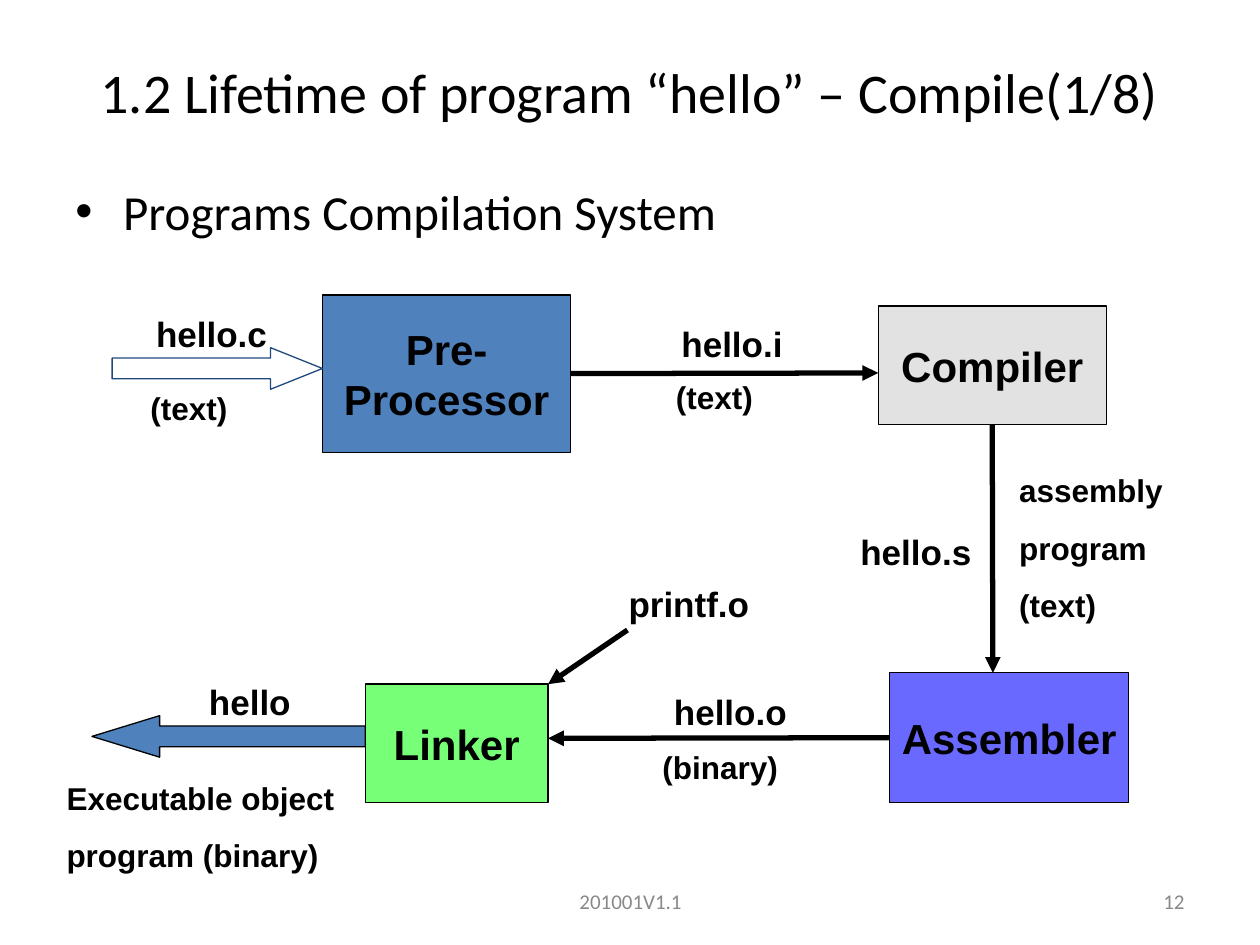
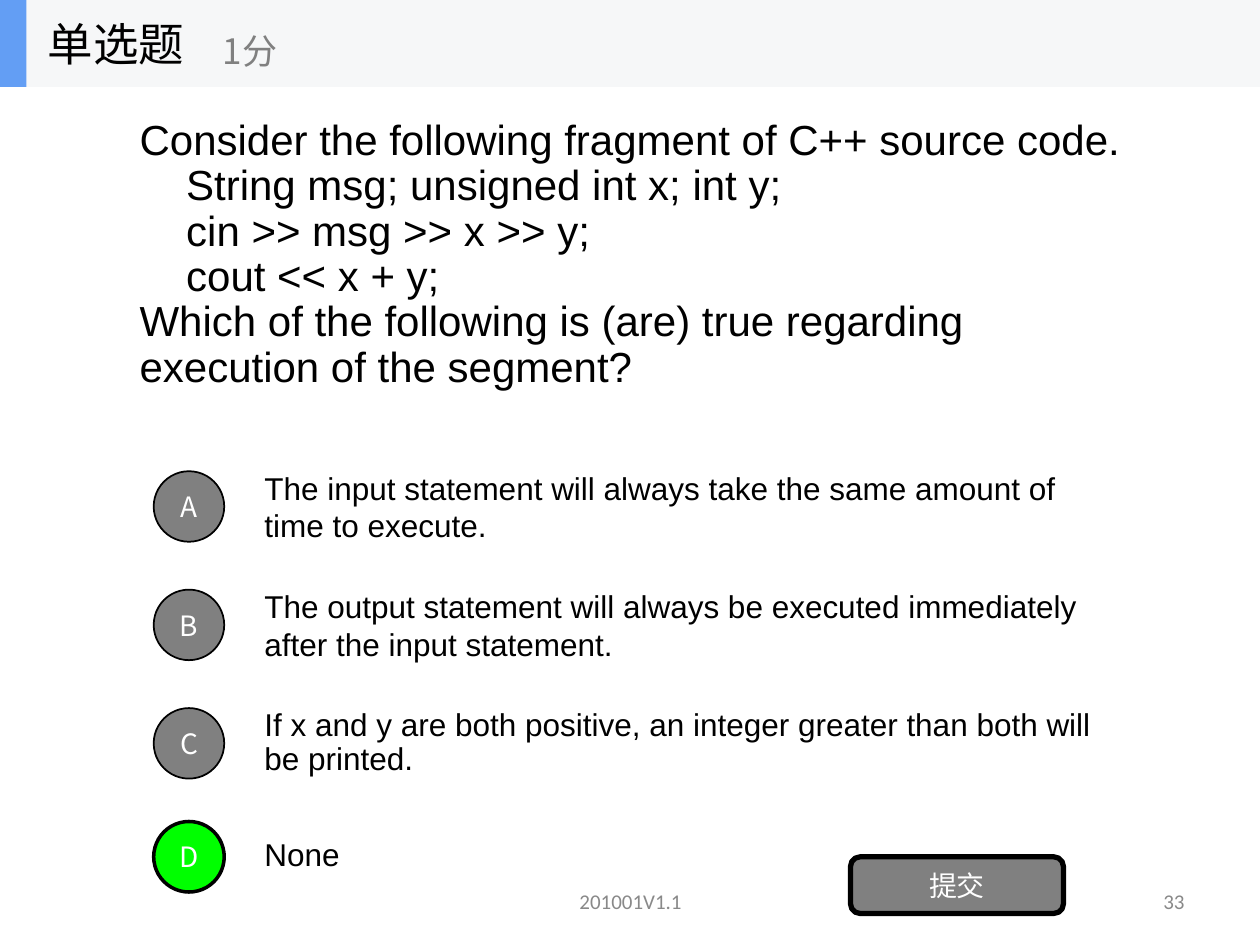
from lxml import etree
from pptx import Presentation
from pptx.dml.color import RGBColor
from pptx.enum import shapes, text
from pptx.oxml.ns import qn
from pptx.util import Inches, Pt

BLACK = RGBColor(0x00, 0x00, 0x00)
WHITE = RGBColor(0xFF, 0xFF, 0xFF)
GRAY = RGBColor(0x80, 0x80, 0x80)
FOOTER_GRAY = RGBColor(0x89, 0x89, 0x89)
LIGHT_GRAY = RGBColor(0xE2, 0xE2, 0xE2)
BAND_GRAY = RGBColor(0xF6, 0xF7, 0xF8)
BAND_BLUE = RGBColor(0x63, 0x9E, 0xF4)
BLUE = RGBColor(0x4F, 0x81, 0xBD)
NAVY = RGBColor(0x1F, 0x49, 0x7D)
VIOLET = RGBColor(0x69, 0x69, 0xFF)
GREEN = RGBColor(0x77, 0xFF, 0x77)
ANSWER_GREEN = RGBColor(0x00, 0xFF, 0x00)

SANS, HEAD, CJK = "Arial", "Calibri", "Noto Sans CJK SC"
LEFT, CENTER, RIGHT = (text.PP_ALIGN.LEFT, text.PP_ALIGN.CENTER,
                       text.PP_ALIGN.RIGHT)
TOP, MIDDLE = text.MSO_ANCHOR.TOP, text.MSO_ANCHOR.MIDDLE
MSO = shapes.MSO_SHAPE


# Text
def write(sp, content, size, font=SANS, color=BLACK, bold=False, align=LEFT,
          anchor=MIDDLE, wrap=True, before=0, spacing=None):
    tf = sp.text_frame
    tf.auto_size = text.MSO_AUTO_SIZE.NONE
    tf.word_wrap = wrap
    tf.vertical_anchor = anchor
    tf.text = content
    for p in tf.paragraphs:
        p.alignment = align
        p.space_before = Pt(before)
        if spacing:
            p.line_spacing = spacing
        for r in p.runs:
            r.font.size = Pt(size)
            r.font.name = font
            r.font.bold = bold
            r.font.color.rgb = color
            if font == CJK:
                ea = etree.SubElement(r.font._element, qn("a:ea"))
                ea.set("typeface", font)


def add_text(s, box, content, size, **style):
    sp = s.shapes.add_textbox(*map(Inches, box))
    write(sp, content, size, **style)
    return sp


def add_label(s, x, y, w, content, size=20, **style):
    """Bold diagram label: 20 pt file names, 18 pt descriptions."""
    add_text(s, (x, y, w, 0.4), content, size, bold=True, anchor=TOP,
             wrap=size == 18, before=11.2 if size == 18 else 0, **style)


def set_title(s, box, content, size, **style):
    title = s.shapes.title
    title.left, title.top, title.width, title.height = map(Inches, box)
    write(title, content, size, **style)
    return title


def indent(p, left, first=0):
    pPr = p._p.get_or_add_pPr()
    pPr.set("marL", str(Inches(left)))
    pPr.set("indent", str(Inches(first)))
    return pPr


def add_footer(s, number):
    for box, content, align in (((3.42, 6.95, 3.17, 0.4), "201001V1.1", CENTER),
                                ((7.17, 6.95, 2.33, 0.4), number, RIGHT)):
        add_text(s, box, content, 12, font=HEAD, color=FOOTER_GRAY, align=align)


# Shapes and lines
def add_shape(s, kind, box, fill=None, line=BLACK, width=0.75, adj=()):
    sp = s.shapes.add_shape(kind, *map(Inches, box))
    sp.shadow.inherit = False
    if fill is None:
        sp.fill.background()
    else:
        sp.fill.solid()
        sp.fill.fore_color.rgb = fill
    if line is None:
        sp.line.fill.background()
    else:
        sp.line.color.rgb = line
        sp.line.width = Pt(width)
    for i, value in enumerate(adj):
        sp.adjustments[i] = value
    return sp


def add_stage(s, box, name, fill):
    sp = add_shape(s, MSO.RECTANGLE, box, fill)
    write(sp, name, 24, bold=True, align=CENTER, wrap=False)
    return sp


def add_arrow(s, start, end, source=None, site=0):
    line = s.shapes.add_connector(shapes.MSO_CONNECTOR.STRAIGHT,
                                  *map(Inches, start + end))
    if source is not None:
        line.begin_connect(source, site)
    line.line.color.rgb = BLACK
    line.line.width = Pt(3)
    etree.SubElement(line.line._get_or_add_ln(), qn("a:tailEnd"), type="triangle")
    etree.SubElement(line._element.spPr, qn("a:effectLst"))


def add_button(s, kind, box, content, fill=GRAY, width=1.0, adj=()):
    sp = add_shape(s, kind, box, fill, width=width, adj=adj)
    write(sp, content, 16, font=CJK, color=WHITE, align=CENTER)


# Slides
def compile_slide(prs):
    s = prs.slides.add_slide(prs.slide_layouts[5])
    add_footer(s, "12")
    set_title(s, (0, 0.3, 10, 0.85),
              "1.2 Lifetime of program “hello” – Compile(1/8)", 32,
              font=HEAD, align=CENTER)
    body = add_text(s, (0.5, 1.39, 9, 0.7), "Programs Compilation System", 28,
                    font=HEAD, anchor=TOP, before=7)
    pPr = indent(body.text_frame.paragraphs[0], 0.38, -0.38)
    etree.SubElement(pPr, qn("a:buFont"), typeface=SANS)
    etree.SubElement(pPr, qn("a:buChar"), char="•")

    # Stages of the compilation system
    pre = add_stage(s, (2.56, 2.34, 1.97, 1.25), "Pre-\nProcessor", BLUE)
    compiler = add_stage(s, (6.97, 2.43, 1.81, 0.94), "Compiler", LIGHT_GRAY)
    assembler = add_stage(s, (7.06, 5.34, 1.9, 1.03), "Assembler", VIOLET)
    add_stage(s, (2.9, 5.43, 1.45, 0.94), "Linker", GREEN)

    # Files passed between the stages
    for x, y, w, name in ((1.14, 2.43, 1.08, "hello.c"),
                          (5.31, 2.51, 1.0, "hello.i"),
                          (6.73, 4.16, 1.08, "hello.s"),
                          (5.25, 5.43, 1.09, "hello.o"),
                          (4.89, 4.57, 1.16, "printf.o"),
                          (1.56, 5.35, 0.85, "hello")):
        add_label(s, x, y, w, name)
    add_label(s, 0.73, 3.1, 1.54, "(text)", 18, align=CENTER, spacing=0.8)
    add_label(s, 5.08, 2.95, 1.18, "(text)", 18, align=CENTER)
    add_label(s, 7.99, 3.69, 1.53, "assembly\nprogram\n(text)", 18)
    add_label(s, 5.16, 5.89, 1.23, "(binary)", 18)
    add_label(s, 0.43, 6.13, 2.36, "Executable object\nprogram (binary)", 18)

    # Flow
    add_arrow(s, (4.53, 2.96), (6.97, 2.96), pre, 3)
    add_arrow(s, (7.88, 3.37), (7.88, 5.34), compiler, 2)
    add_arrow(s, (7.06, 5.86), (4.35, 5.86), assembler, 1)
    add_arrow(s, (4.98, 5), (4.35, 5.43))
    add_shape(s, MSO.RIGHT_ARROW, (0.89, 2.76, 1.67, 0.33), line=NAVY,
              adj=(0.5, 1.25))
    add_shape(s, MSO.LEFT_ARROW, (0.73, 5.68, 2.17, 0.33), BLUE,
              adj=(0.5, 1.63))


def quiz_slide(prs):
    s = prs.slides.add_slide(prs.slide_layouts[5])
    add_footer(s, "33")

    # Header band
    add_shape(s, MSO.RECTANGLE, (0, 0, 10, 0.69), BAND_GRAY, line=None)
    add_shape(s, MSO.RECTANGLE, (0, 0, 0.21, 0.69), BAND_BLUE, line=None)
    title = set_title(s, (0.28, 0, 2.08, 0.69), "单选题", 26, font=CJK)
    s.shapes.element.append(title.element)  # bring in front of the band
    add_text(s, (1.67, 0.12, 2.5, 0.56), "1分", 20, font=CJK, color=GRAY)

    # Question with indented code
    question = add_text(
        s, (1.01, 0.7, 8, 2.65),
        "Consider the following fragment of C++ source code.\n"
        "String msg; unsigned int x; int y;\n"
        "cin >> msg >> x >> y;\n"
        "cout << x + y;\n"
        "Which of the following is (are) true regarding execution of the segment?",
        24, spacing=0.9)
    for p in question.text_frame.paragraphs[1:4]:
        indent(p, 0.37)

    # Choices
    choices = (
        ("A", 3.67, None,
         "The input statement will always take the same amount of time to execute."),
        ("B", 4.61, None,
         "The output statement will always be executed immediately after the "
         "input statement."),
        ("C", 5.55, 0.9,
         "If x and y are both positive, an integer greater than both will be "
         "printed."),
        ("D", 6.45, 0.9, "None"),
    )
    for letter, y, spacing, answer in choices:
        correct = letter == "D"
        add_text(s, (2, y, 7, 0.7), answer, 18, spacing=spacing)
        add_button(s, MSO.OVAL, (1.22, y + 0.07, 0.56, 0.56), letter,
                   ANSWER_GREEN if correct else GRAY, 2 if correct else 1)
    add_button(s, MSO.ROUNDED_RECTANGLE, (6.75, 6.8, 1.69, 0.45), "提交",
               width=3, adj=(0.17,))


def main():
    prs = Presentation()
    prs.slide_width, prs.slide_height = Inches(10), Inches(7.5)
    compile_slide(prs)
    quiz_slide(prs)
    prs.save("out.pptx")


if __name__ == "__main__":
    main()
